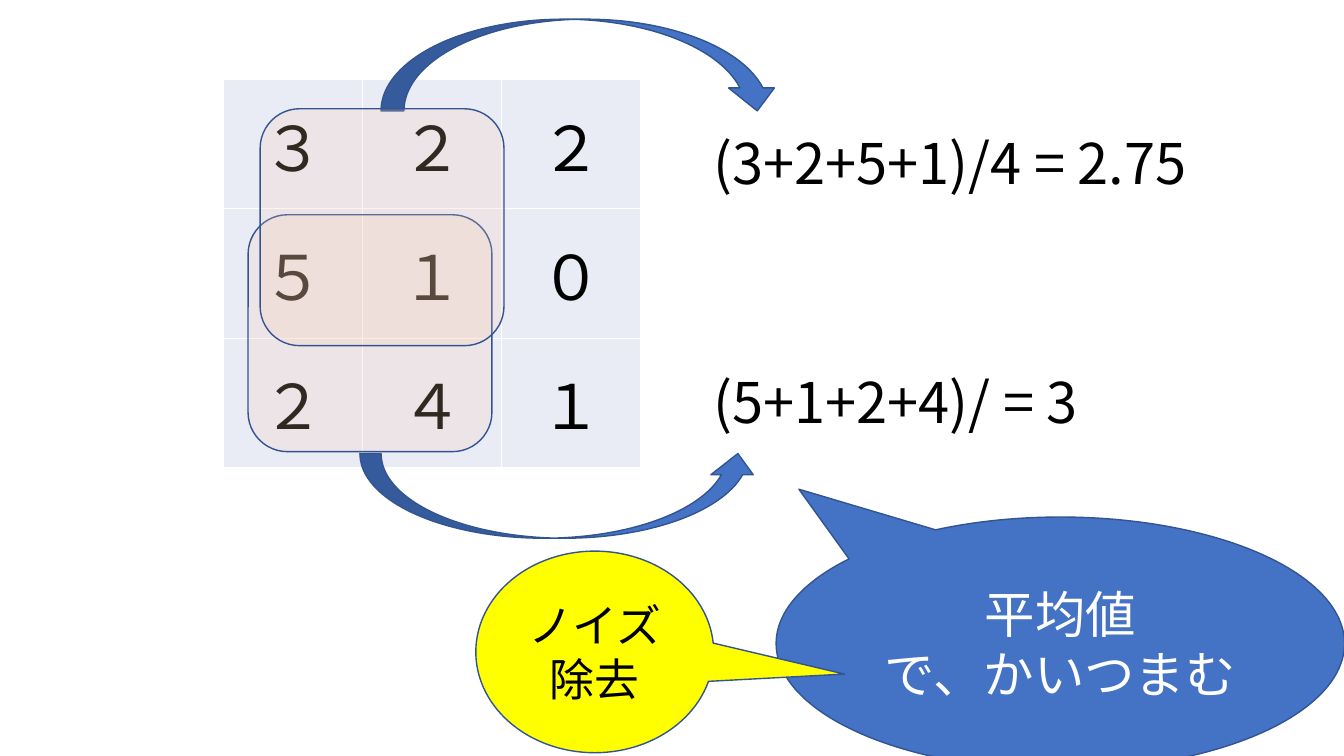
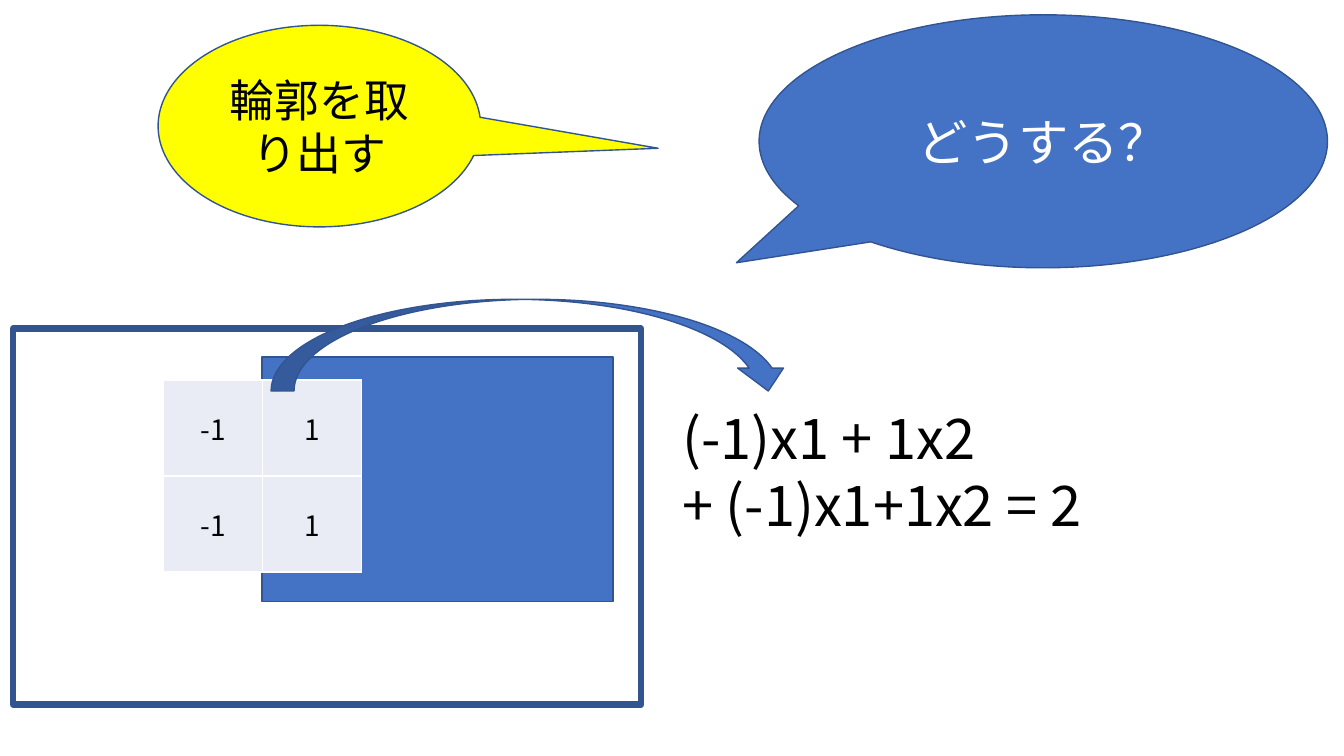
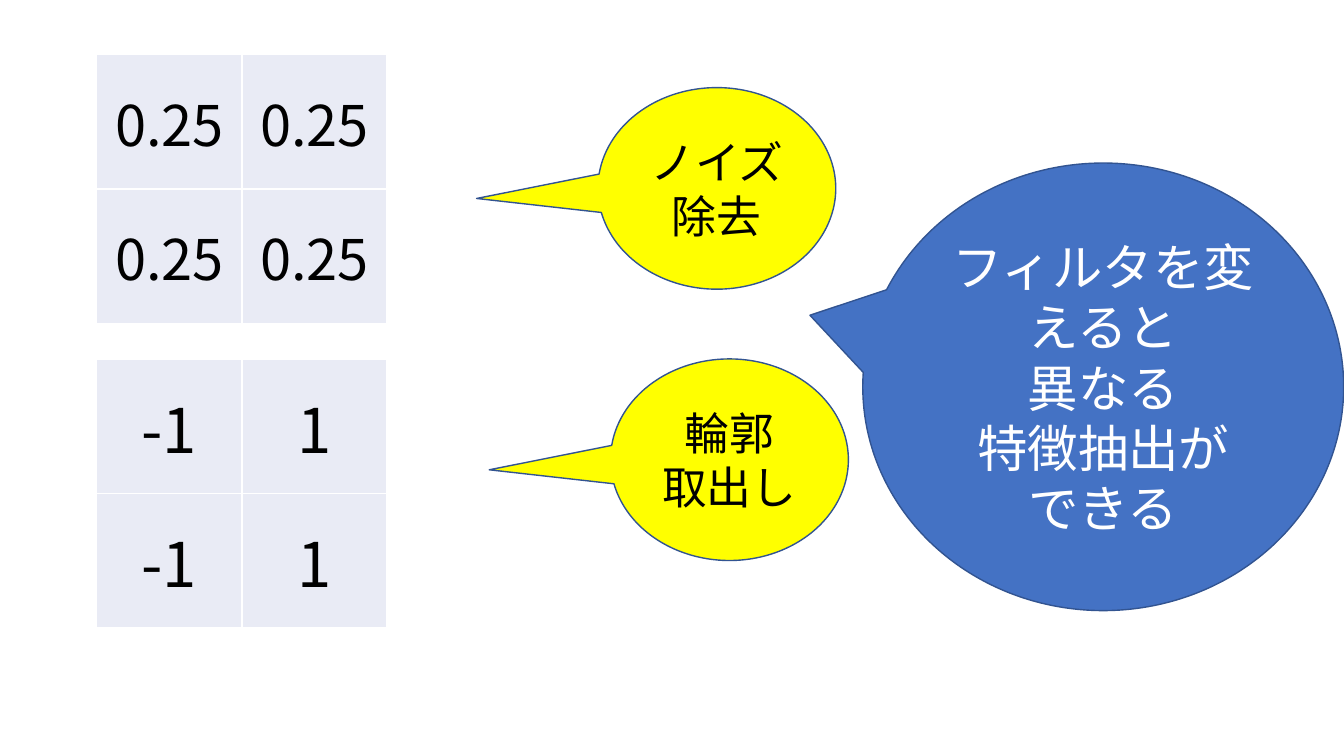
from dataclasses import dataclass

from lxml.etree import SubElement
from pptx import Presentation
from pptx.dml.color import RGBColor
from pptx.enum.shapes import MSO_SHAPE
from pptx.enum.text import MSO_ANCHOR, MSO_AUTO_SIZE, PP_ALIGN
from pptx.oxml import parse_xml
from pptx.oxml.ns import nsdecls, qn
from pptx.util import Pt


@dataclass(frozen=True)
class Theme:
    font: str = "Noto Sans CJK JP"
    blue: str = "4472C4"
    outline: str = "325491"
    yellow: str = "FFFF00"
    peach: str = "F8CBAD"
    cell: str = "E9EBF5"
    white: str = "FFFFFF"
    black: str = "000000"
    peach_opacity: int = 20
    thin: float = 1
    thick: float = 4.5
    small_digit: int = 20
    large_digit: int = 44
    formula: int = 40
    label: int = 32
    message: int = 36


THEME = Theme()


@dataclass(frozen=True)
class Box:
    left: float
    top: float
    width: float
    height: float

    def inner(self, left, top, width, height):
        """Return a box offset from this box's top left corner."""
        return Box(self.left + left, self.top + top, width, height)

    def lengths(self):
        return [Pt(value) for value in (self.left, self.top, self.width, self.height)]


def write_text(text_frame, text, size, color, alignment):
    text_frame.text = text
    for paragraph in text_frame.paragraphs:
        paragraph.alignment = alignment
        for run in paragraph.runs:
            run.font.size = Pt(size)
            run.font.color.rgb = RGBColor.from_string(color)
            run.font.name = THEME.font
            east_asian = SubElement(run.font._element, qn("a:ea"))
            east_asian.set("typeface", THEME.font)


def add_figure(slide, box, preset, fill=None, line_width=THEME.thin):
    shape = slide.shapes.add_shape(preset, *box.lengths())
    shape.shadow.inherit = False
    shape.line.color.rgb = RGBColor.from_string(THEME.outline)
    shape.line.width = Pt(line_width)
    if fill:
        shape.fill.solid()
        shape.fill.fore_color.rgb = RGBColor.from_string(fill)
    else:
        shape.fill.background()
    return shape


def add_callout(slide, box, text, tip, fill, size, color):
    shape = add_figure(slide, box, MSO_SHAPE.OVAL_CALLOUT, fill)
    for index, offset in enumerate(tip):
        shape.adjustments[index] = offset
    text_frame = shape.text_frame
    text_frame.word_wrap = True
    text_frame.vertical_anchor = MSO_ANCHOR.MIDDLE
    write_text(text_frame, text, size, color, PP_ALIGN.CENTER)


def add_label(slide, box, text, tip):
    add_callout(slide, box, text, tip, THEME.yellow, THEME.label, THEME.black)


def add_message(slide, box, text, tip):
    add_callout(slide, box, text, tip, THEME.blue, THEME.message, THEME.white)


def add_arrow(slide, box, flipped=False):
    shape = add_figure(slide, box, MSO_SHAPE.CURVED_DOWN_ARROW, THEME.blue)
    if flipped:
        shape._element.spPr.find(qn("a:xfrm")).set("flipV", "1")


def add_window(slide, box):
    """Add a translucent window over a block of four cells."""
    shape = add_figure(slide, box, MSO_SHAPE.ROUNDED_RECTANGLE, THEME.peach)
    color = shape._element.spPr.find(qn("a:solidFill")).find(qn("a:srgbClr"))
    SubElement(color, qn("a:alpha")).set("val", str(THEME.peach_opacity * 1000))


def add_formula(slide, box, text):
    text_frame = slide.shapes.add_textbox(*box.lengths()).text_frame
    text_frame.word_wrap = False
    text_frame.auto_size = MSO_AUTO_SIZE.SHAPE_TO_FIT_TEXT
    write_text(text_frame, text, THEME.formula, THEME.black, PP_ALIGN.LEFT)


def set_borders(cell):
    properties = cell._tc.get_or_add_tcPr()
    for index, side in enumerate(("lnL", "lnR", "lnT", "lnB")):
        properties.insert(index, parse_xml(
            f'<a:{side} {nsdecls("a")} w="{Pt(THEME.thin)}"><a:solidFill>'
            f'<a:srgbClr val="{THEME.white}"/></a:solidFill></a:{side}>'))


def add_grid(slide, box, rows, size):
    """Add a table of equal cells; each row is a sequence of texts."""
    table = slide.shapes.add_table(len(rows), len(rows[0]), *box.lengths()).table
    table.first_row = False
    table.horz_banding = False
    for column in table.columns:
        column.width = Pt(box.width / len(rows[0]))
    for row, values in zip(table.rows, rows):
        row.height = Pt(box.height / len(rows))
        for cell, value in zip(row.cells, values):
            cell.fill.solid()
            cell.fill.fore_color.rgb = RGBColor.from_string(THEME.cell)
            cell.vertical_anchor = MSO_ANCHOR.MIDDLE
            set_borders(cell)
            write_text(cell.text_frame, value, size, THEME.black, PP_ALIGN.CENTER)


def add_averaging_diagram(slide, box):
    add_grid(slide, box.inner(0, 43.2, 297.5, 277), ("３２２", "５１０", "２４１"),
             THEME.large_digit)
    add_window(slide, box.inner(17.3, 139.7, 174.2, 169.2))
    add_arrow(slide, box.inner(112.3, 0, 285.1, 65.5))
    add_formula(slide, box.inner(342.7, 74.9, 396, 55.4), "(3+2+5+1)/4 = 2.75")
    add_window(slide, box.inner(25.9, 64, 174.2, 169.2))
    add_arrow(slide, box.inner(97.2, 310.3, 285.1, 60.5), flipped=True)
    add_formula(slide, box.inner(342.7, 245.5, 317.5, 55.4), "(5+1+2+4)/ = 3")


def add_edge_diagram(slide, box, edge_filter):
    add_figure(slide, box.inner(0, 20.9, 448.6, 268.6), MSO_SHAPE.RECTANGLE,
               line_width=THEME.thick)
    add_figure(slide, box.inner(177.8, 41.1, 250.6, 175), MSO_SHAPE.RECTANGLE,
               THEME.blue)
    add_grid(slide, box.inner(107.3, 57.6, 141.8, 137.2), edge_filter, THEME.small_digit)
    add_arrow(slide, box.inner(184.3, 0, 371.5, 65.5))
    add_formula(slide, box.inner(470.9, 70.6, 337.7, 104.4),
                "(-1)x1 + 1x2\n+ (-1)x1+1x2 = 2")


def add_filter_example(slide, box, rows, size, text, label_offset):
    add_grid(slide, box.inner(0, 0, 207.4, box.height), rows, size)
    add_label(slide, box.inner(*label_offset, 169.9, 144), text, (-1.01, 0.05))


def main():
    presentation = Presentation()
    presentation.slide_width, presentation.slide_height = Pt(960), Pt(540)
    blank = presentation.slide_layouts[6]
    averaging, edges, summary = (presentation.slides.add_slide(blank) for _ in range(3))
    edge_filter = [("-1", "1")] * 2
    average_filter = [("0.25", "0.25")] * 2

    add_averaging_diagram(averaging, Box(159.9, 13.7, 740, 371))
    add_message(averaging, Box(554.4, 369.3, 406, 180.7), "平均値\nで、かいつまむ",
                (-0.46, -0.61))
    add_label(averaging, Box(339.9, 393.7, 169.9, 144), "ノイズ除去", (1.05, 0.11))

    add_label(edges, Box(113, 18.1, 230.4, 144), "輪郭を取り出す", (1.05, 0.11))
    add_message(edges, Box(542.2, 10.6, 406, 180.7), "どうする？", (-0.54, 0.48))
    add_edge_diagram(edges, Box(9.4, 213.8, 808, 290), edge_filter)

    add_filter_example(summary, Box(69.1, 256.4, 537, 192), edge_filter,
                       THEME.large_digit, "輪郭\n取出し", (367, 0))
    add_filter_example(summary, Box(69.1, 39, 537, 192), average_filter,
                       THEME.formula, "ノイズ除去", (358, 23.6))
    add_message(summary, Box(616.3, 116.5, 343.5, 319.7),
                "フィルタを変えると\n異なる\n特徴抽出が\nできる", (-0.61, -0.16))

    presentation.save("out.pptx")


if __name__ == "__main__":
    main()
